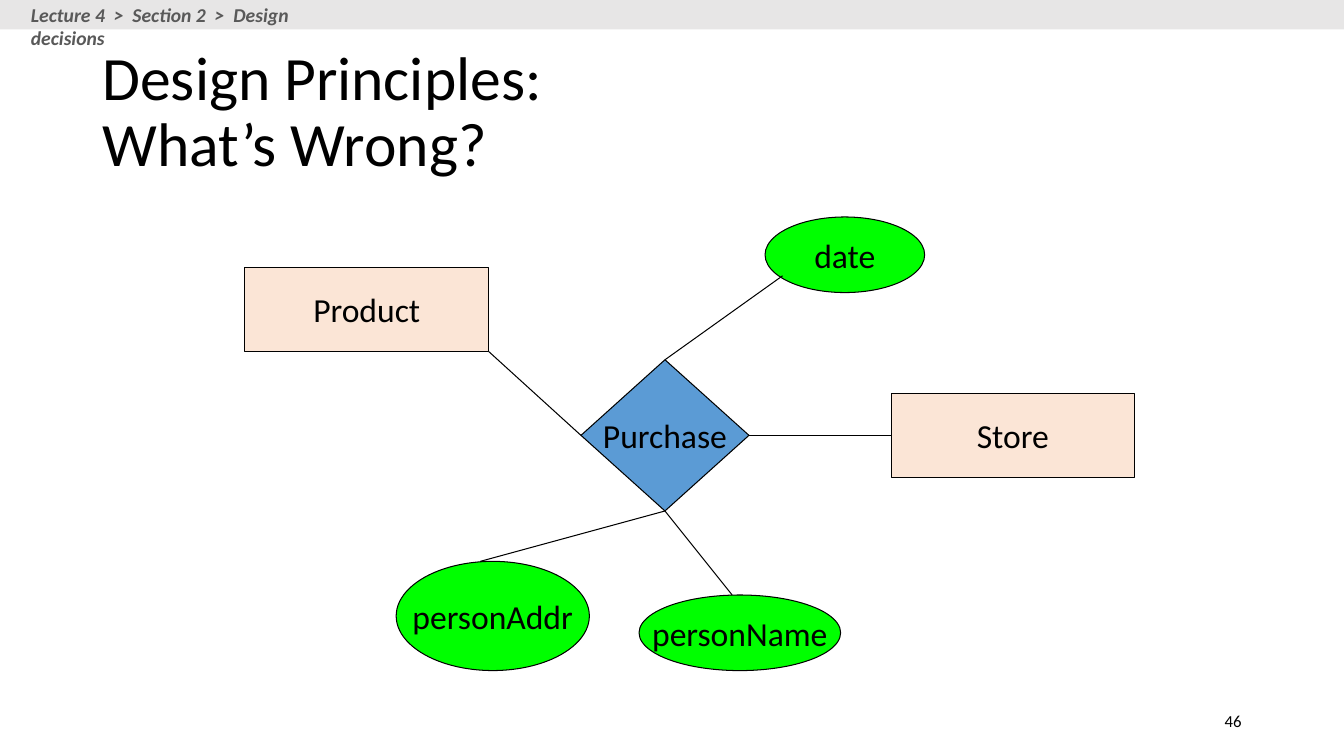
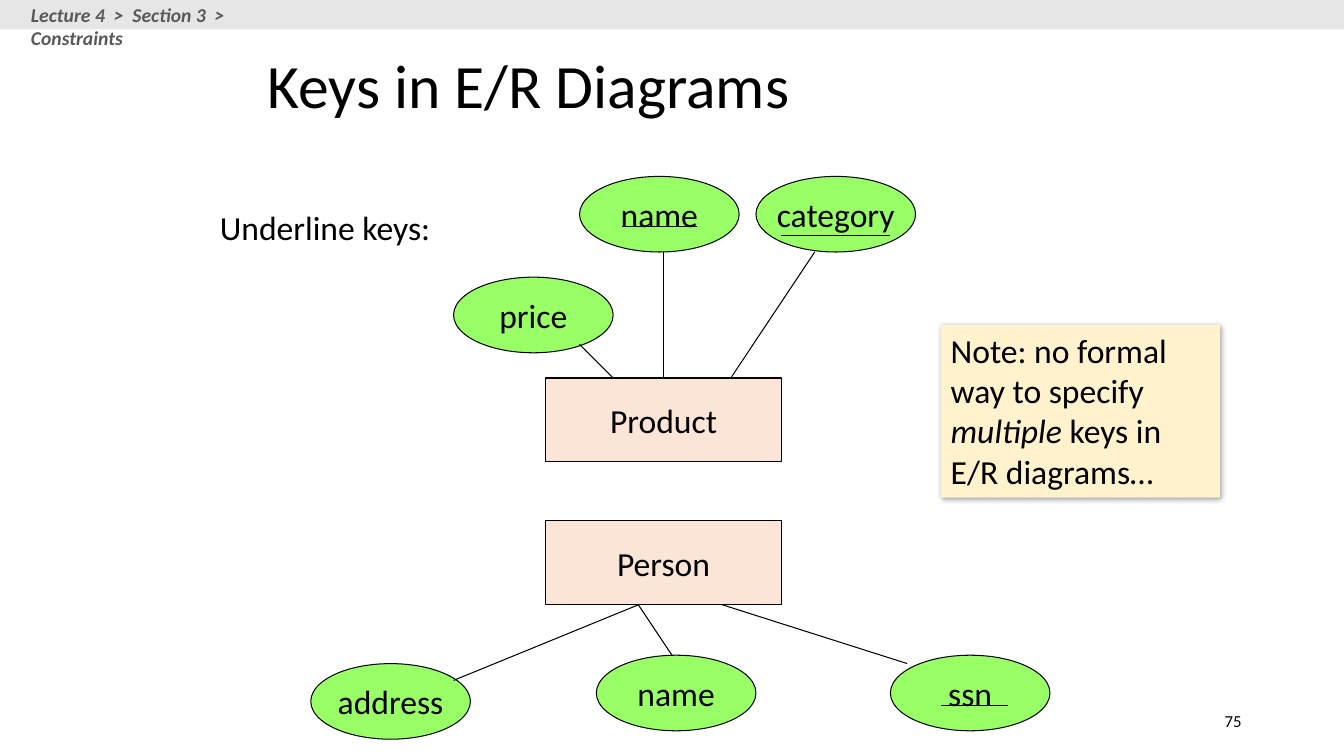
from lxml import etree
from pptx import Presentation
from pptx.dml.color import RGBColor
from pptx.enum.shapes import MSO_CONNECTOR, MSO_SHAPE
from pptx.enum.text import MSO_ANCHOR, PP_ALIGN
from pptx.oxml.ns import qn
from pptx.util import Pt

RECT, OVAL, GEM = MSO_SHAPE.RECTANGLE, MSO_SHAPE.OVAL, MSO_SHAPE.DIAMOND
LINE = MSO_CONNECTOR.STRAIGHT
LEFT, MID, RIGHT = PP_ALIGN.LEFT, PP_ALIGN.CENTER, PP_ALIGN.RIGHT
TOP, CENTER = MSO_ANCHOR.TOP, MSO_ANCHOR.MIDDLE

FONT = "Calibri"
BLACK, GREY, BAND = "000000", "595959", "E7E6E6"
PEACH, BLUE, CREAM = "FBE5D6", "5B9BD5", "FFF2CC"
WIDE, HIGH = 960, 540
SIZE = 114, 54

SLIDES = [
    {
        "title": ["Design Principles:", "What’s Wrong?"],
        "box": (66, 29, 828, 104),
        "crumb": "Lecture 4  >  Section 2  >  Design decisions",
        "page": "46",
        "green": "00FF00",
        "gems": [("Purchase", 415, 257, 120, 108)],
        "sets": [("Product", 175, 191, 174, 60), ("Store", 636.5, 281, 174, 60)],
        "ovals": [
            ("date", 546.5, 155, *SIZE),
            ("personName", 456.5, 425, 144, 54),
            ("personAddr", 283, 401, 138, 78),
        ],
        "lines": [
            (535, 311, 636.5, 311),
            (475, 257, 559, 197),
            (475, 365, 523, 425),
            (349, 251, 415, 311),
            (475, 365, 343, 401),
        ],
    },
    {
        "title": ["Keys in E/R Diagrams"],
        "box": (184, 18, 602, 90),
        "crumb": "Lecture 4  >  Section 3  >  Constraints",
        "page": "75",
        "green": "99FF66",
        "gems": [],
        "sets": [("Product", 390, 270, 168, 60), ("Person", 390, 372, 168, 60)],
        "ovals": [
            ("price", 324, 198, *SIZE),
            ("name", 414, 126, *SIZE),
            ("category", 540, 126, *SIZE),
            ("address", 222, 474, *SIZE),
            ("name", 426, 468, *SIZE),
            ("ssn", 636, 468, *SIZE),
        ],
        "lines": [
            (438, 270, 414, 246),
            (474, 270, 474, 180),
            (522, 270, 582, 180),
            (456, 432, 324, 486),
            (456, 432, 480, 468),
            (516, 432, 648, 474),
            (444, 162, 498, 162),
            (558, 168, 636, 168),
            (672, 504, 720, 504),
        ],
    },
]

LABEL = "Underline keys:"
NOTE = [
    ("Note: no formal way to specify ", False),
    ("multiple", True),
    (" keys in E/R diagrams…", False),
]


def color(code):
    return RGBColor.from_string(code)


def add_run(para, text, size, tint=BLACK, bold=False, slant=False):
    run = para.add_run()
    run.text = text
    font = run.font
    font.name, font.size = FONT, Pt(size)
    font.bold, font.italic = bold, slant
    font.color.rgb = color(tint)


def set_frame(shape, align, anchor, wrap=True):
    frame = shape.text_frame
    frame.word_wrap = wrap
    frame.vertical_anchor = anchor
    para = frame.paragraphs[0]
    para.alignment = align
    return para


def add_text(slide, box, align=LEFT, anchor=TOP, wrap=True):
    shape = slide.shapes.add_textbox(*map(Pt, box))
    return set_frame(shape, align, anchor, wrap)


def add_block(slide, kind, box, fill, edge=True):
    shape = slide.shapes.add_shape(kind, *map(Pt, box))
    shape.shadow.inherit = False
    shape.fill.solid()
    shape.fill.fore_color.rgb = color(fill)
    if edge:
        shape.line.color.rgb = color(BLACK)
        shape.line.width = Pt(0.75)
    else:
        shape.line.fill.background()
    return shape


def add_node(slide, kind, fill, text, *box):
    shape = add_block(slide, kind, box, fill)
    add_run(set_frame(shape, MID, CENTER, False), text, 24)


def add_line(slide, ends):
    line = slide.shapes.add_connector(LINE, *map(Pt, ends))
    line.line.color.rgb = color(BLACK)
    line.line.width = Pt(0.75)
    etree.SubElement(line._element.spPr, qn("a:effectLst"))


def add_shadow(shape):
    effects = shape._element.spPr.find(qn("a:effectLst"))
    outer = etree.SubElement(
        effects, qn("a:outerShdw"), blurRad=str(Pt(4)), dist=str(Pt(1)),
        dir="2700000", algn="tl", rotWithShape="0")
    tint = etree.SubElement(outer, qn("a:srgbClr"), val=BLACK)
    etree.SubElement(tint, qn("a:alpha"), val="40000")


def add_title(slide, lines, box):
    title = slide.shapes.title
    title.left, title.top, title.width, title.height = map(Pt, box)
    para = set_frame(title, LEFT, CENTER)
    para.line_spacing = 0.9
    for i, text in enumerate(lines):
        if i:
            para.add_line_break()
        add_run(para, text, 44)


def add_slide(deck, data):
    slide = deck.slides.add_slide(deck.slide_layouts[5])
    add_block(slide, RECT, (0, 0, WIDE, 21), BAND, False)
    crumb = add_text(slide, (15, -1.5, 215, 24))
    add_run(crumb, data["crumb"], 14, GREY, True, True)
    add_title(slide, data["title"], data["box"])
    page = add_text(slide, (678, 500.5, 216, 29), RIGHT, CENTER)
    add_run(page, data["page"], 12)
    groups = (("gems", GEM, BLUE), ("sets", RECT, PEACH),
              ("ovals", OVAL, data["green"]))
    for key, kind, fill in groups:
        for node in data[key]:
            add_node(slide, kind, fill, *node)
    for ends in data["lines"]:
        add_line(slide, ends)
    return slide


def add_notice(slide):
    label = add_text(slide, (150, 144, 166, 36), wrap=False)
    add_run(label, LABEL, 24)
    card = add_block(slide, RECT, (672, 232, 199.5, 123.5), CREAM, False)
    add_shadow(card)
    para = set_frame(card, LEFT, TOP)
    for text, slant in NOTE:
        add_run(para, text, 24, slant=slant)


def main():
    deck = Presentation()
    deck.slide_width, deck.slide_height = Pt(WIDE), Pt(HIGH)
    pages = [add_slide(deck, data) for data in SLIDES]
    add_notice(pages[-1])
    deck.save("out.pptx")


if __name__ == "__main__":
    main()
